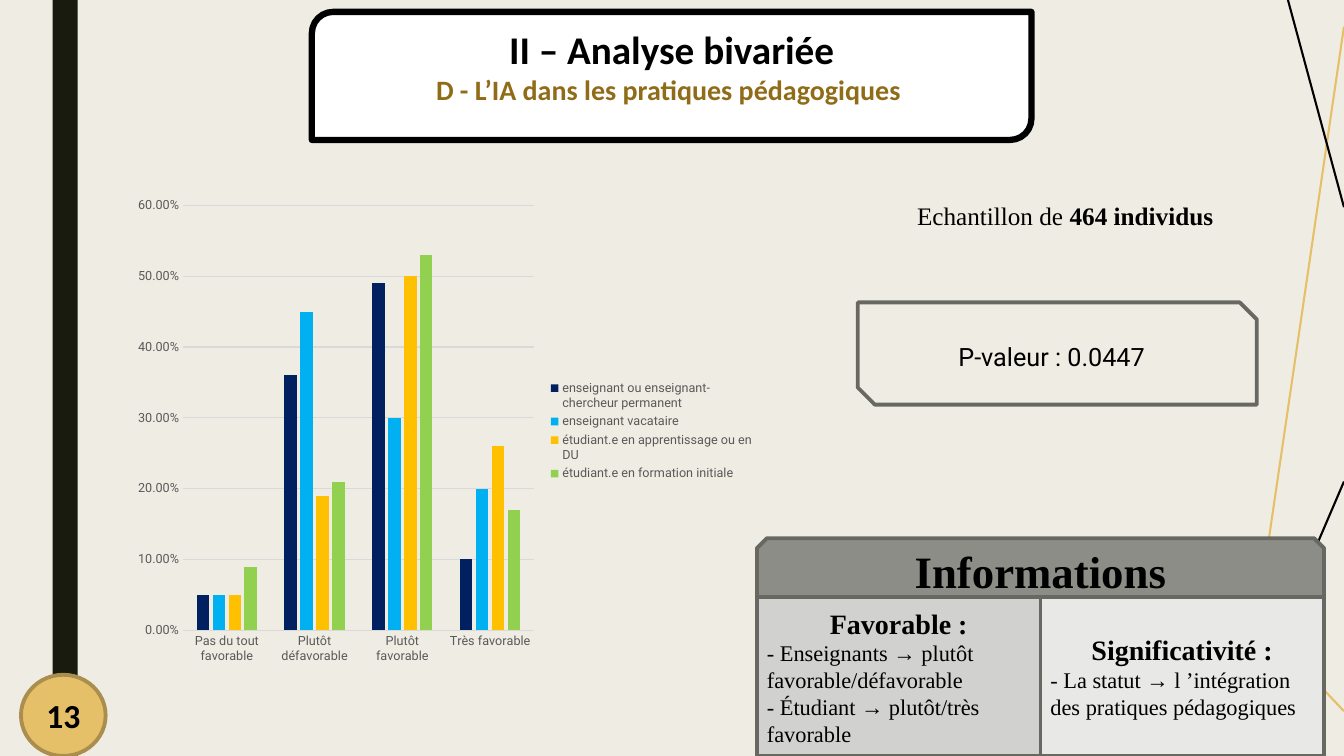
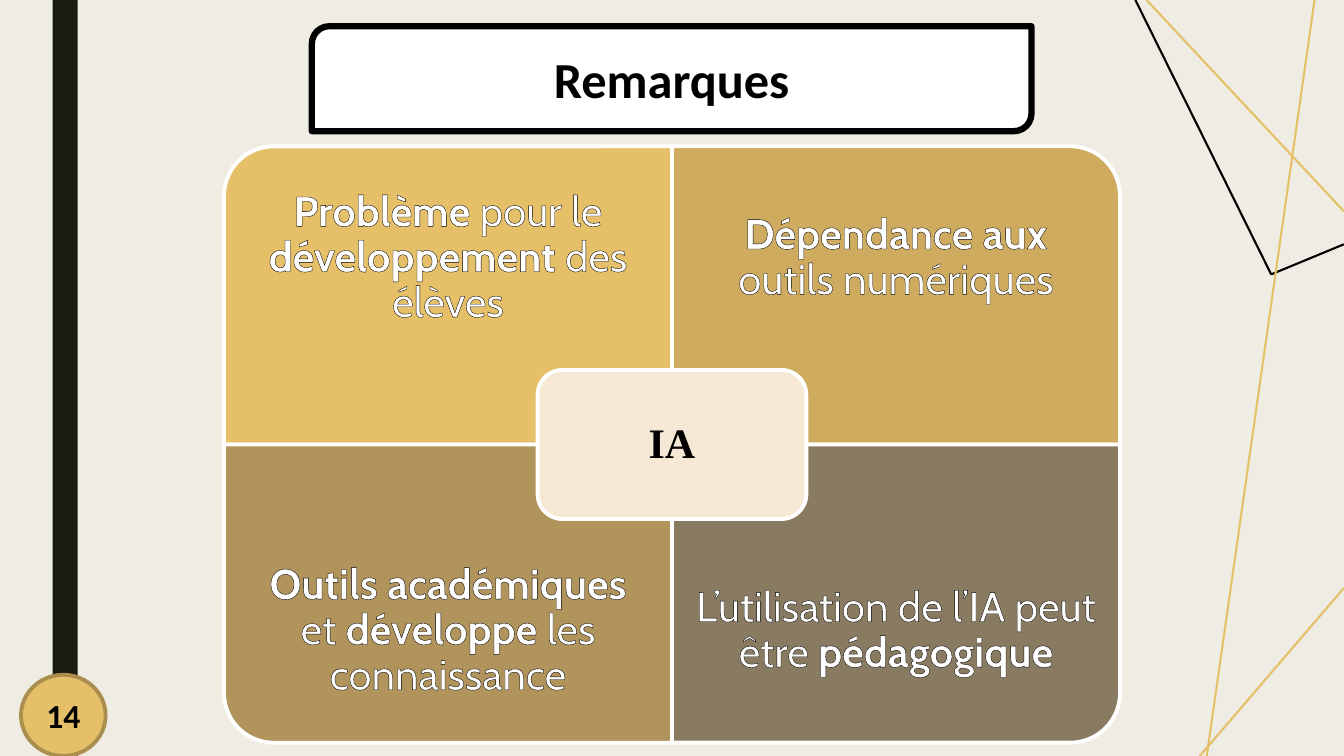
from lxml.etree import SubElement
from pptx import Presentation
from pptx.chart.data import CategoryChartData
from pptx.dml.color import RGBColor
from pptx.enum.chart import XL_CHART_TYPE as CHART, XL_LEGEND_POSITION as LEGEND
from pptx.enum.chart import XL_TICK_MARK as TICK
from pptx.enum.shapes import MSO_CONNECTOR as CONN, MSO_SHAPE as SHAPE
from pptx.enum.text import MSO_ANCHOR as ANCHOR, PP_ALIGN as ALIGN
from pptx.oxml.ns import qn
from pptx.util import Pt

WIDTH, HEIGHT = 960, 540

BLACK = RGBColor(0x00, 0x00, 0x00)
WHITE = RGBColor(0xFF, 0xFF, 0xFF)
PAPER = RGBColor(0xEF, 0xED, 0xE3)
DARK = RGBColor(0x19, 0x1B, 0x0E)
GOLD = RGBColor(0xE6, 0xC0, 0x69)
GOLD_EDGE = RGBColor(0xAA, 0x8E, 0x4E)
BROWN = RGBColor(0x90, 0x6B, 0x18)
OCHRE = RGBColor(0xCE, 0xAB, 0x5F)
KHAKI = RGBColor(0xB0, 0x94, 0x5B)
TAUPE = RGBColor(0x89, 0x7B, 0x61)
CREAM = RGBColor(0xF5, 0xE8, 0xD4)
GRAY_EDGE = RGBColor(0x68, 0x68, 0x63)
GRAY_HEAD = RGBColor(0x8C, 0x8D, 0x86)
GRAY_MID = RGBColor(0xD1, 0xD1, 0xCF)
GRAY_LIGHT = RGBColor(0xE8, 0xE8, 0xE7)
AXIS_TEXT = RGBColor(0x59, 0x59, 0x59)
GRID = RGBColor(0xD9, 0xD9, 0xD9)
NAVY = RGBColor(0x00, 0x20, 0x60)
SKY = RGBColor(0x00, 0xB0, 0xF0)
AMBER = RGBColor(0xFF, 0xC0, 0x00)
GREEN = RGBColor(0x92, 0xD0, 0x50)

SERIF, SANS, TITLE_FONT, CARD_FONT = "Times New Roman", "Roboto", "Calibri", "Cabin"
EDGE = 2.75
HEADING = {"name": TITLE_FONT, "bold": True, "outline": BROWN, "align": ALIGN.CENTER}
SERIF_HEAD = {"name": SERIF, "bold": True, "align": ALIGN.CENTER}
SERIF_BODY = {"name": SERIF, "size": 16}
CARD = {"name": CARD_FONT, "size": 30, "color": WHITE, "outline": BLACK,
        "align": ALIGN.CENTER, "spacing": 0.9}


def set_font(font, size, name, color=BLACK, bold=False):
    values = {"size": Pt(size), "name": name, "bold": bold}
    for key, value in values.items():
        setattr(font, key, value)
    font.color.rgb = color


def outline_text(r, color):
    rpr = r._r.get_or_add_rPr()
    ln = SubElement(rpr, qn("a:ln"), w=str(Pt(0.75)))
    fill = SubElement(ln, qn("a:solidFill"))
    SubElement(fill, qn("a:srgbClr"), val=str(color))
    rpr.insert(0, ln)


class Deck:
    def __init__(self):
        self.prs = Presentation()
        self.prs.slide_width, self.prs.slide_height = Pt(WIDTH), Pt(HEIGHT)
        self.s = None

    def new_slide(self, lines):
        """Start a slide with its background, side band and decorative lines."""
        self.s = self.prs.slides.add_slide(self.prs.slide_layouts[6])
        fill = self.s.background.fill
        fill.solid()
        fill.fore_color.rgb = PAPER
        self.shape(SHAPE.RECTANGLE, (37.5, 0, 18, HEIGHT), DARK)
        for color, *ends in lines:
            self.line(color, ends)

    def line(self, color, ends):
        c = self.s.shapes.add_connector(CONN.STRAIGHT, *map(Pt, ends))
        c.line.color.rgb = color
        c.line.width = Pt(1.5)
        SubElement(c._element.spPr, qn("a:effectLst"))

    def shape(self, kind, box, fill=None, edge=None, width=EDGE, rotation=0):
        sp = self.s.shapes.add_shape(kind, *map(Pt, box))
        sp.shadow.inherit = False
        sp.rotation = rotation
        if fill is None:
            sp.fill.background()
        else:
            sp.fill.solid()
            sp.fill.fore_color.rgb = fill
        if edge is None:
            sp.line.fill.background()
        else:
            sp.line.color.rgb = edge
            sp.line.width = Pt(width)
        return sp

    def textbox(self, box, *paragraphs, **frame):
        sp = self.s.shapes.add_textbox(*map(Pt, box))
        self.fill_text(sp, *paragraphs, **frame)

    def fill_text(self, sp, *paragraphs, anchor=ANCHOR.MIDDLE, margins=(7.2, 3.6, 7.2, 3.6)):
        """Fill a shape with (text, style) paragraphs; ** switches bold."""
        tf = sp.text_frame
        tf.word_wrap = True
        tf.vertical_anchor = anchor
        for side, margin in zip(("left", "top", "right", "bottom"), margins):
            setattr(tf, f"margin_{side}", Pt(margin))
        for i, (text, style) in enumerate(paragraphs):
            p = tf.add_paragraph() if i else tf.paragraphs[0]
            p.alignment = style.get("align", ALIGN.LEFT)
            p.line_spacing = style.get("spacing", 1.0)
            for n, part in enumerate(text.split("**")):
                if not part:
                    continue
                r = p.add_run()
                r.text = part
                set_font(r.font, style["size"], style["name"], style.get("color", BLACK),
                         style.get("bold", n % 2 == 1))
                if "outline" in style:
                    outline_text(r, style["outline"])

    def title(self, top, height, *paragraphs, bottom=3.6):
        sp = self.shape(SHAPE.ROUND_2_DIAG_RECTANGLE, (222.75, top, 514, height),
                        WHITE, BLACK, 4.5)
        self.fill_text(sp, *paragraphs, margins=(7.2, 3.6, 7.2, bottom))

    def number(self, value):
        sp = self.shape(SHAPE.OVAL, (15, 482, 60.5, 58), GOLD, GOLD_EDGE)
        self.fill_text(sp, (str(value), {**HEADING, "size": 24}))

    def panel(self, kind, box, fill, *paragraphs):
        self.fill_text(self.shape(kind, box, fill, GRAY_EDGE), *paragraphs)

    def column_chart(self, box, categories, series):
        data = CategoryChartData(number_format="0.00%")
        data.categories = categories
        for name, _, values in series:
            data.add_series(name, values)
        chart = self.s.shapes.add_chart(CHART.COLUMN_CLUSTERED, *map(Pt, box), data).chart
        set_font(chart.font, 10, SANS)
        chart.has_title = False
        chart.has_legend = True
        chart.legend.position = LEGEND.RIGHT
        chart.legend.include_in_layout = False
        set_font(chart.legend.font, 9, SANS, AXIS_TEXT)

        plot = chart.plots[0]
        plot.gap_width, plot.overlap, plot.vary_by_categories = 219, -27, False
        for bars, (_, color, _) in zip(plot.series, series):
            bars.format.fill.solid()
            bars.format.fill.fore_color.rgb = color

        cat, val = chart.category_axis, chart.value_axis
        for axis in (cat, val):
            axis.major_tick_mark = axis.minor_tick_mark = TICK.NONE
            set_font(axis.tick_labels.font, 9, SANS, AXIS_TEXT)
        val.minimum_scale, val.maximum_scale, val.major_unit = 0, 0.6, 0.1
        val.tick_labels.number_format = "0.00%"
        val.tick_labels.number_format_is_linked = False
        val.has_major_gridlines = True
        val.format.line.fill.background()
        for line in (cat.format.line, val.major_gridlines.format.line):
            line.color.rgb = GRID
            line.width = Pt(0.75)

    def matrix(self, left, top, width, height, cards, center):
        """Draw four cards, rounded at the outer corners, around a central label."""
        text_height = height * 0.75
        for i, (fill, rotation, text) in enumerate(cards):
            row, col = divmod(i, 2)
            x, y = left + col * width, top + row * height
            w, h = (height, width) if rotation % 180 else (width, height)
            self.shape(SHAPE.ROUND_1_RECTANGLE,
                       (x + (width - w) / 2, y + (height - h) / 2, w, h),
                       fill, WHITE, rotation=rotation)
            self.textbox((x, y + row * (height - text_height), width, text_height),
                         (text, CARD), margins=(16.5,) * 4)
        w, h = width * 0.6, height / 2
        sp = self.shape(SHAPE.ROUNDED_RECTANGLE,
                        (left + width - w / 2, top + height - h / 2, w, h), CREAM, WHITE)
        self.fill_text(sp, (center, {**SERIF_HEAD, "size": 30, "spacing": 0.9}))


def build_analysis(deck):
    deck.new_slide([
        (BLACK, 876, 540, 960, 344),
        (GOLD, 898, 442, 960, 508),
        (GOLD, 898, 442, 960, 19),
        (BLACK, 960, 148, 920, 0),
    ])
    deck.number(13)
    deck.column_chart(
        (89.5, 134.5, 456.5, 346.5),
        ["Pas du tout favorable", "Plutôt défavorable", "Plutôt favorable", "Très favorable"],
        [("enseignant ou enseignant-chercheur permanent", NAVY, (0.05, 0.36, 0.49, 0.10)),
         ("enseignant vacataire", SKY, (0.05, 0.45, 0.30, 0.20)),
         ("étudiant.e en apprentissage ou en DU", AMBER, (0.05, 0.19, 0.50, 0.26)),
         ("étudiant.e en formation initiale", GREEN, (0.09, 0.21, 0.53, 0.17))])

    left, top, half = 540.75, 426.5, 202.5
    deck.panel(SHAPE.SNIP_2_SAME_RECTANGLE, (left, 384.5, 2 * half, 42), GRAY_HEAD,
               ("Informations", {**SERIF_HEAD, "size": 32}))
    deck.panel(SHAPE.RECTANGLE, (left, top, half, HEIGHT - top), GRAY_MID,
               ("Favorable :", {**SERIF_HEAD, "size": 20}),
               ("- Enseignants **→ **plutôt favorable/défavorable", SERIF_BODY),
               ("- Étudiant → plutôt/très favorable", SERIF_BODY))
    deck.panel(SHAPE.RECTANGLE, (left + half, top, half, HEIGHT - top), GRAY_LIGHT,
               ("Significativité :", {**SERIF_HEAD, "size": 20}),
               ("- La statut → l ’intégration des pratiques pédagogiques", SERIF_BODY))

    deck.textbox((677.5, 240.5, 153, 29), ("P-valeur : 0.0447", {"name": SANS, "size": 18}),
                 anchor=ANCHOR.TOP)
    deck.shape(SHAPE.SNIP_2_DIAG_RECTANGLE, (612.75, 216, 285, 73), None, GRAY_EDGE)
    deck.title(8.5, 91.5,
               ("II – Analyse bivariée", {**HEADING, "size": 28}),
               ("D - L’IA dans les pratiques pédagogiques ",
                {**HEADING, "size": 20, "color": BROWN, "outline": BLACK}),
               bottom=18)
    deck.textbox((648, 139.5, 263, 29),
                 ("Echantillon de **464 individus**", {"name": SERIF, "size": 18}),
                 anchor=ANCHOR.TOP)


def build_remarks(deck):
    deck.new_slide([
        (BLACK, 908, 196, 960, 174.5),
        (GOLD, 819, 0, 960, 151),
        (GOLD, 857, 540, 960, 420),
        (GOLD, 862, 540, 939, 0),
        (BLACK, 908, 196, 811, 0),
    ])
    deck.title(18.75, 75, ("Remarques", {**HEADING, "size": 36}))
    deck.number(14)
    deck.matrix(160, 104.5, 320, 213, [
        (GOLD, 270, "**Problème** pour le **développement** des élèves"),
        (OCHRE, 0, "**Dépendance aux** outils numériques"),
        (KHAKI, 180, "**Outils académiques **et **développe** les connaissance"),
        (TAUPE, 90, "L’utilisation de l’IA peut être **pédagogique**"),
    ], "IA")


def main():
    deck = Deck()
    build_analysis(deck)
    build_remarks(deck)
    deck.prs.save("out.pptx")


if __name__ == "__main__":
    main()
